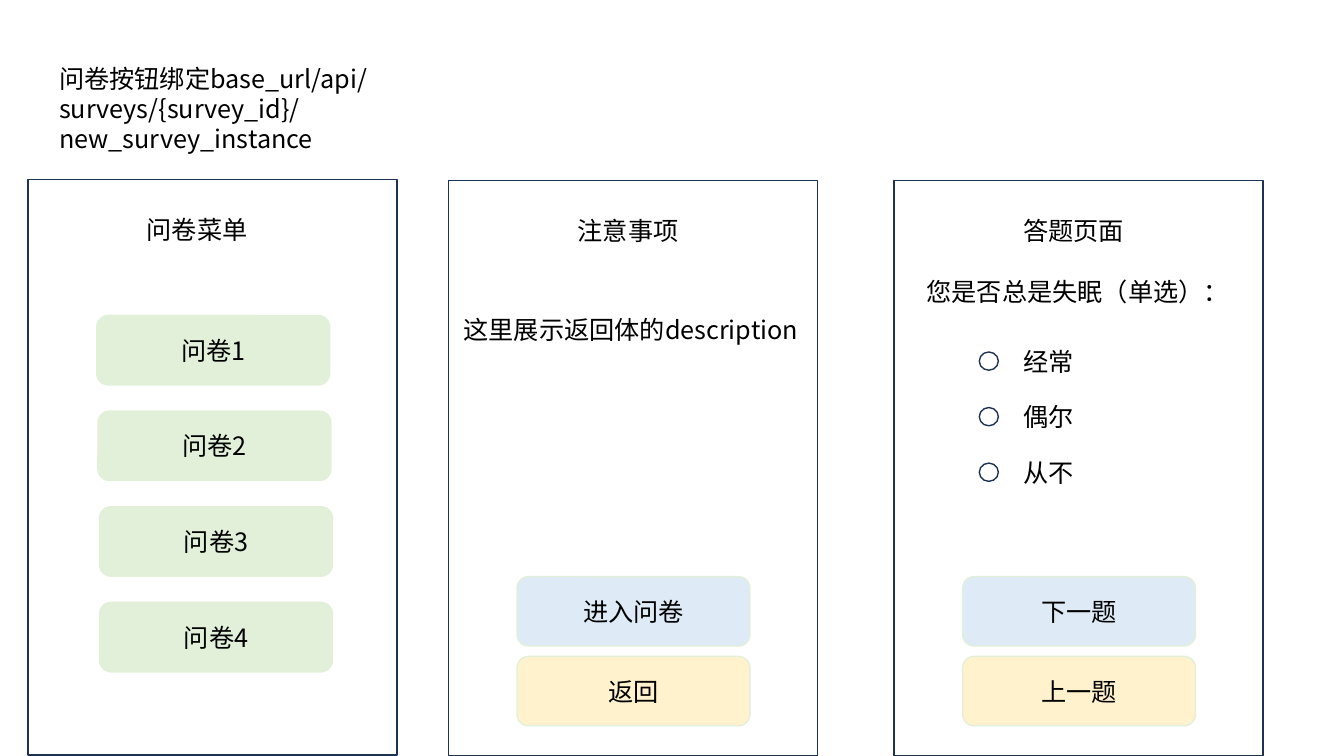
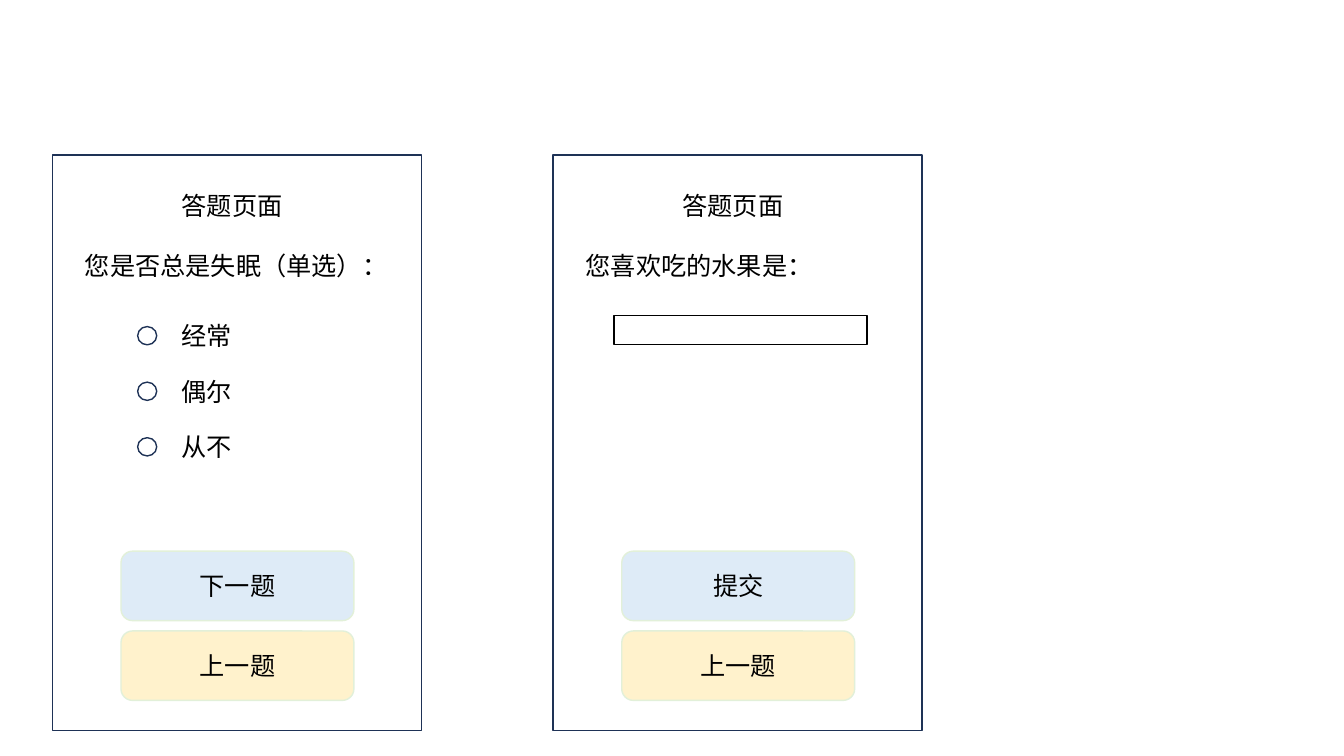
from pptx import Presentation
from pptx.dml.color import RGBColor
from pptx.enum.shapes import MSO_SHAPE
from pptx.enum.text import MSO_ANCHOR, MSO_AUTO_SIZE, PP_ALIGN
from pptx.oxml.ns import qn
from pptx.util import Cm, Pt
from lxml import etree

RECT, ROUNDED, OVAL = MSO_SHAPE.RECTANGLE, MSO_SHAPE.ROUNDED_RECTANGLE, MSO_SHAPE.OVAL
LEFT, CENTER = PP_ALIGN.LEFT, PP_ALIGN.CENTER
TOP, MIDDLE = MSO_ANCHOR.TOP, MSO_ANCHOR.MIDDLE
GROW = MSO_AUTO_SIZE.SHAPE_TO_FIT_TEXT

FONT = "Noto Sans CJK SC"
NAVY, BLACK, WHITE = "1E3256", "000000", "FFFFFF"
GREEN, BLUE, YELLOW = "E2F0D9", "DEEBF7", "FFF2CC"

PAGE_W, PAGE_H = 9.3, 14.5
BUTTON_W, BUTTON_H, BUTTON_DX = 5.87, 1.75, 1.73
ACTIONS_DY, ACTION_STEP = 9.98, 2.01
SURVEYS_DY, SURVEY_STEP = 3.42, 2.41
ANSWER_DY, OPTION_STEP = 4.04, 1.4
LINE_H = 1.02

HINT = "问卷按钮绑定base_url/api/surveys/{survey_id}/new_survey_instance"
SURVEYS = [("问卷1", 0), ("问卷2", 0.03), ("问卷3", 0.07), ("问卷4", 0.07)]
SINGLE_CHOICE = {
    "title": "答题页面",
    "question": "您是否总是失眠（单选）：",
    "options": ["经常", "偶尔", "从不"],
    "actions": ["下一题", "上一题"],
}
FREE_TEXT = {
    "title": "答题页面",
    "question": "您喜欢吃的水果是：",
    "blank": True,
    "actions": ["提交", "上一题"],
}
MENU = {"title": "问卷菜单", "title_dx": 2.74, "title_w": 4.17, "surveys": SURVEYS}
NOTICE = {
    "title": "注意事项",
    "notice": "这里展示返回体的description",
    "actions": ["进入问卷", "返回"],
}
SLIDES = [
    {"hint": HINT, "pages": [(0.71, 4.53, MENU), (11.3, 4.55, NOTICE),
                             (22.53, 4.55, SINGLE_CHOICE)]},
    {"pages": [(1.32, 3.91, SINGLE_CHOICE), (13.94, 3.91, FREE_TEXT)]},
]


def color(value):
    return RGBColor.from_string(value)


def write(frame, text, align=LEFT, anchor=TOP, size=18, ink=BLACK):
    frame.word_wrap = True
    frame.vertical_anchor = anchor
    paragraph = frame.paragraphs[0]
    paragraph.alignment = align
    run = paragraph.add_run()
    run.text = text
    run.font.size = Pt(size)
    run.font.name = FONT
    run.font.color.rgb = color(ink)
    east_asian = etree.SubElement(run.font._element, qn("a:ea"))
    east_asian.set("typeface", FONT)


def label(slide, text, x, y, w, h=LINE_H):
    frame = slide.shapes.add_textbox(Cm(x), Cm(y), Cm(w), Cm(h)).text_frame
    frame.auto_size = GROW
    write(frame, text)


def outline(slide, kind, x, y, w, h, fill=None, line=NAVY):
    shape = slide.shapes.add_shape(kind, Cm(x), Cm(y), Cm(w), Cm(h))
    shape.shadow.inherit = False
    if fill:
        shape.fill.solid()
        shape.fill.fore_color.rgb = color(fill)
    else:
        shape.fill.background()
    shape.line.color.rgb = color(line)
    shape.line.width = Pt(1)
    return shape


def button(slide, text, x, y, fill):
    shape = outline(slide, ROUNDED, x, y, BUTTON_W, BUTTON_H, fill, GREEN)
    write(shape.text_frame, text, align=CENTER, anchor=MIDDLE)


def draw_page(slide, x, y, page):
    outline(slide, RECT, x, y, PAGE_W, PAGE_H)
    label(slide, page["title"], x + page.get("title_dx", 3.01), y + 0.75,
          page.get("title_w", 3.71))
    for row, (survey, shift) in enumerate(page.get("surveys", [])):
        button(slide, survey, x + BUTTON_DX + shift,
               y + SURVEYS_DY + row * SURVEY_STEP, GREEN)
    if "notice" in page:
        label(slide, page["notice"], x + 0.13, y + 3.25, 9.04)
    if "question" in page:
        label(slide, page["question"], x + 0.57, y + 2.28, 9.04)
    for row, option in enumerate(page.get("options", [])):
        option_y = y + ANSWER_DY + row * OPTION_STEP
        label(slide, option, x + 3.01, option_y, 3.02)
        outline(slide, OVAL, x + 2.15, option_y + 0.28, 0.48, 0.46, WHITE)
    if page.get("blank"):
        outline(slide, RECT, x + 1.53, y + ANSWER_DY, 6.38, 0.74, WHITE, BLACK)
    for row, (action, fill) in enumerate(zip(page.get("actions", []), (BLUE, YELLOW))):
        button(slide, action, x + BUTTON_DX, y + ACTIONS_DY + row * ACTION_STEP, fill)


deck = Presentation()
deck.slide_width, deck.slide_height = Cm(33.87), Cm(19.05)
for content in SLIDES:
    slide = deck.slides.add_slide(deck.slide_layouts[6])
    if "hint" in content:
        label(slide, content["hint"], 1.24, 1.47, 8.76, 2.57)
    for page_x, page_y, page in content["pages"]:
        draw_page(slide, page_x, page_y, page)
deck.save("out.pptx")
